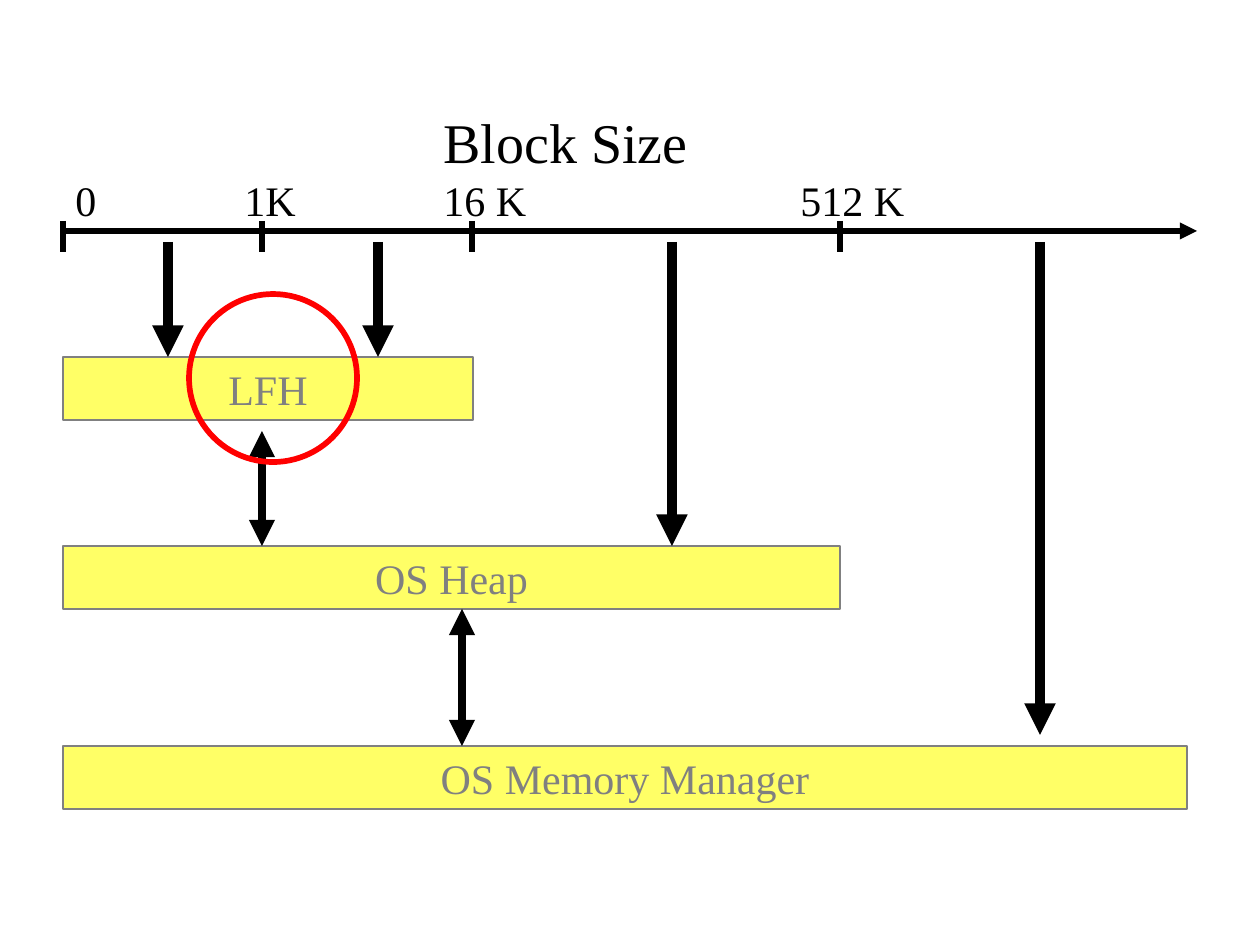
from pptx import Presentation
from pptx.dml.color import RGBColor as RGB
from pptx.enum.shapes import MSO_CONNECTOR as Conn, MSO_SHAPE as Kind
from pptx.enum.text import MSO_ANCHOR as Anchor, MSO_AUTO_SIZE as Fit, PP_ALIGN as Align
from pptx.oxml.ns import qn
from pptx.util import Pt
from lxml.etree import SubElement as Sub

COLORS = {"ink": "000000", "gray": "808080", "bar": "FFFF66", "ring": "FF0000"}
FONT = "Times New Roman"
SCALE = 914400 / 126


def emu(*vals):
    return [round(v * SCALE) for v in vals]


def tint(name):
    return RGB.from_string(COLORS[name])


def write(frame, text, size=24, color="ink", align=Align.LEFT, wrap=True):
    frame.word_wrap = wrap
    frame.auto_size = Fit.NONE if wrap else Fit.SHAPE_TO_FIT_TEXT
    frame.vertical_anchor = Anchor.BOTTOM
    para = frame.paragraphs[0]
    para.alignment = align
    run = para.add_run()
    run.text = text
    run.font.name = FONT
    run.font.size = Pt(size)
    run.font.color.rgb = tint(color)


class Board:
    def __init__(self, deck):
        self.shapes = deck.slides.add_slide(deck.slide_layouts[6]).shapes

    def shape(self, kind, box, line, width, fill=None):
        item = self.shapes.add_shape(kind, *emu(*box))
        item.shadow.inherit = False
        if fill:
            item.fill.solid()
            item.fill.fore_color.rgb = tint(fill)
        else:
            item.fill.background()
        item.line.color.rgb = tint(line)
        item.line.width = Pt(width)
        return item

    def bar(self, text, top, width):
        item = self.shape(Kind.RECTANGLE, (63, top, width, 63), "gray", 0.75, "bar")
        write(item.text_frame, text, color="gray", align=Align.CENTER)

    def ring(self, left, top, side):
        self.shape(Kind.OVAL, (left, top, side, side), "ring", 3.25)

    def label(self, text, left, top, width, height=63, size=24):
        box = self.shapes.add_textbox(*emu(left, top, width, height))
        write(box.text_frame, text, size=size, wrap=False)

    def line(self, x1, y1, x2, y2, width, ends=()):
        item = self.shapes.add_connector(Conn.STRAIGHT, *emu(x1, y1, x2, y2))
        item.line.color.rgb = tint("ink")
        item.line.width = Pt(width)
        for end in ends:
            Sub(item.line._get_or_add_ln(), qn(f"a:{end}End"), type="triangle")
        Sub(item._element.spPr, qn("a:effectLst"))


def main():
    deck = Presentation()
    deck.slide_width, deck.slide_height = emu(1260, 945)
    board = Board(deck)

    for text, top, width in (("LFH", 357, 410), ("OS Heap", 546, 777),
                             ("OS Memory Manager", 746, 1124)):
        board.bar(text, top, width)
    for x, top, base in ((262, 431, 546), (462, 609, 746)):
        board.line(x, top, x, base, 5, ("head", "tail"))

    board.line(63, 231, 1197, 231, 3.25, ("tail",))
    board.label("Block Size", 431, 100, 270, 81, size=32)
    for text, left, width, tick in (("0", 63, 45, 63), ("1K", 232, 77, 262),
                                    ("16 K", 431, 108, 472), ("512 K", 788, 129, 840)):
        board.label(text, left, 168, width)
        board.line(tick, 221, tick, 252, 3.25)

    for x, base in ((168, 357), (672, 546), (1040, 735), (378, 357)):
        board.line(x, 242, x, base, 6, ("tail",))
    board.ring(189, 294, 168)

    deck.save("out.pptx")


if __name__ == "__main__":
    main()
